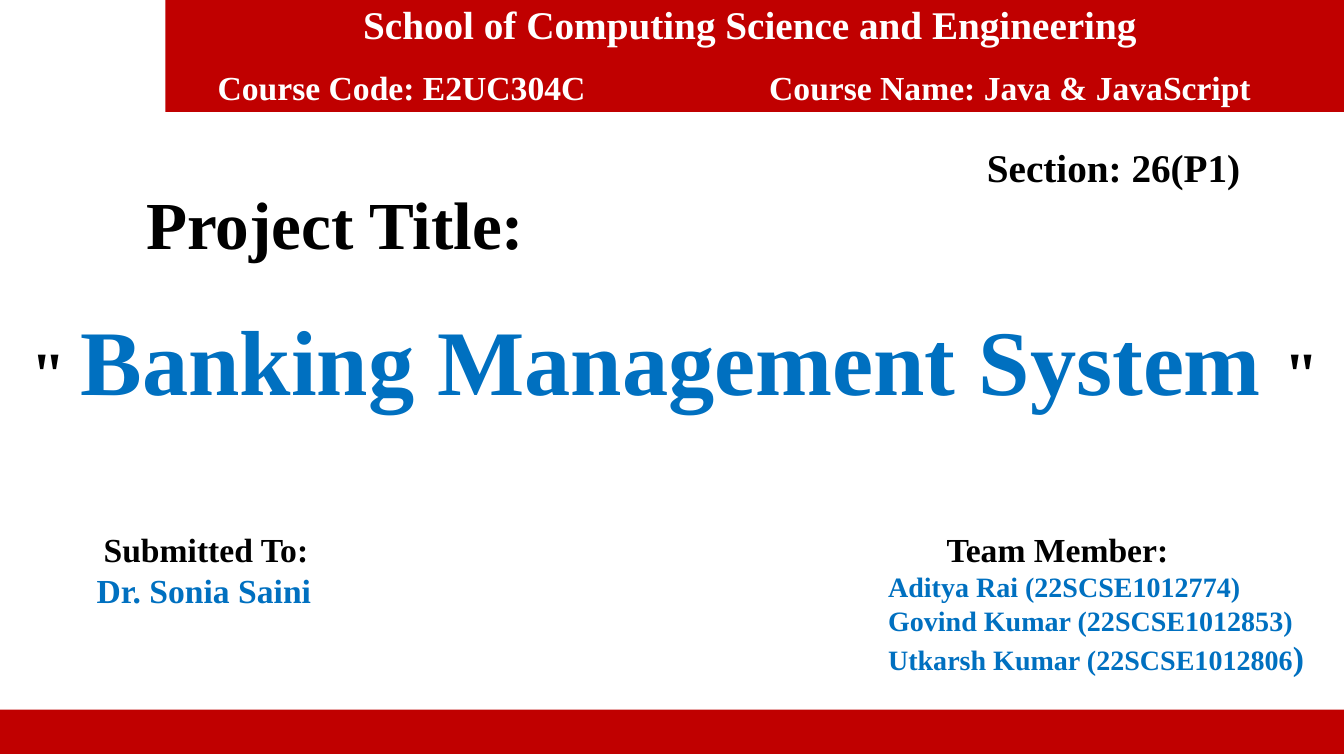
from lxml.etree import SubElement
from pptx import Presentation
from pptx.dml.color import RGBColor
from pptx.enum.shapes import MSO_SHAPE
from pptx.enum.text import MSO_ANCHOR, PP_ALIGN
from pptx.oxml.ns import qn
from pptx.util import Inches, Pt

FONT = "Times New Roman"
RED, BLUE, BLACK, WHITE = "C00000", "0070C0", "000000", "FFFFFF"

# Bars: left, top, width, height
HEADER = (1.64, -0.02, 11.69, 1.13)
FOOTER = (0, 7.04, 13.33, 0.44)

# Paragraphs: (indent, [(words, size, colour), ...])
SCHOOL = (0, [("School of Computing Science and Engineering ", 28, WHITE)])
COURSE = (0, [("\tCourse Code: E2UC304C\tCourse Name: Java & JavaScript", 24, WHITE)])
COURSE_TABS = (0.42, 5.89)

# Text blocks: (box, paragraphs)
BLOCKS = [
    ((0.21, 2.96, 13, 1.21), [
        (0, [('" ', 44, BLACK), ("Banking Management System ", 66, BLUE), ('"', 44, BLACK)]),
    ]),
    ((8.71, 5.2, 6, 1.58), [
        (0.58, [("Team Member:", 24, BLACK)]),
        (0, [("Aditya Rai (22SCSE1012774)", 20, BLUE)]),
        (0, [("Govind Kumar (22SCSE1012853)", 20, BLUE)]),
        (0, [("Utkarsh Kumar (22SCSE1012806", 20, BLUE), (")", 24, BLUE)]),
    ]),
    ((1.35, 1.76, 5.95, 0.91), [(0, [("Project Title:", 48, BLACK)])]),
    ((0.43, 5.2, 6, 0.91), [
        (0.5, [("Submitted To:", 24, BLACK)]),
        (0.43, [("Dr. Sonia Saini", 24, BLUE)]),
    ]),
    ((9.69, 1.37, 4.27, 0.57), [(0, [("Section: 26(P1)", 28, BLACK)])]),
]


def colour(hex_code):
    return RGBColor.from_string(hex_code)


def add_bar(slide, box):
    bar = slide.shapes.add_shape(MSO_SHAPE.RECTANGLE, *map(Inches, box))
    bar.shadow.inherit = False
    bar.fill.solid()
    bar.fill.fore_color.rgb = colour(RED)
    bar.line.fill.background()
    return bar


def write(frame, paragraphs):
    frame.word_wrap = True
    frame.text = "\n".join("" for _ in paragraphs)
    for paragraph, (indent, pieces) in zip(frame.paragraphs, paragraphs):
        paragraph.alignment = PP_ALIGN.LEFT
        if indent:
            paragraph._p.get_or_add_pPr().set("marL", str(Inches(indent)))
        for words, size, hex_code in pieces:
            run = paragraph.add_run()
            run.text = words
            run.font.name = FONT
            run.font.size = Pt(size)
            run.font.bold = True
            run.font.color.rgb = colour(hex_code)


def set_tabs(paragraph, stops):
    tabs = SubElement(paragraph._p.get_or_add_pPr(), qn("a:tabLst"))
    for stop in stops:
        SubElement(tabs, qn("a:tab"), pos=str(Inches(stop)), algn="l")


def main():
    deck = Presentation()
    deck.slide_width, deck.slide_height = Inches(13.33), Inches(7.5)
    slide = deck.slides.add_slide(deck.slide_layouts[6])

    # Header and footer bars
    header = add_bar(slide, HEADER).text_frame
    add_bar(slide, FOOTER)
    header.vertical_anchor = MSO_ANCHOR.TOP
    header.margin_top = Inches(0.02)
    header.margin_bottom = 0
    write(header, [SCHOOL, COURSE])
    school, course = header.paragraphs
    school.alignment = PP_ALIGN.CENTER
    course.space_before = Pt(14)
    set_tabs(course, COURSE_TABS)

    # Title, people and section
    for box, paragraphs in BLOCKS:
        write(slide.shapes.add_textbox(*map(Inches, box)).text_frame, paragraphs)

    deck.save("out.pptx")


if __name__ == "__main__":
    main()
